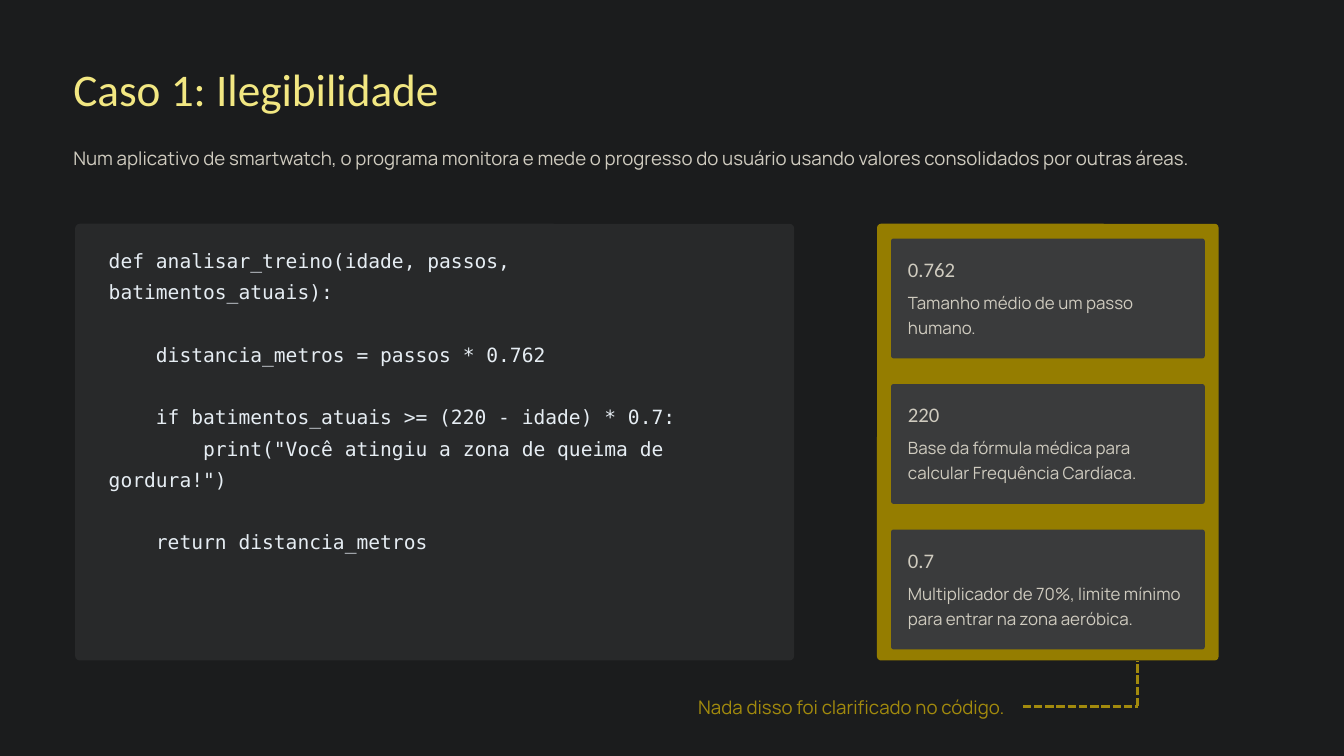
from lxml.etree import SubElement
from pptx import Presentation
from pptx.dml.color import RGBColor
from pptx.enum.dml import MSO_LINE
from pptx.enum.shapes import MSO_CONNECTOR, MSO_SHAPE
from pptx.oxml.ns import qn
from pptx.util import Cm, Pt

TITLE = "Caso 1: Ilegibilidade"
INTRO = (
    "Num aplicativo de smartwatch, o programa monitora e mede o progresso "
    "do usuário usando valores consolidados por outras áreas."
)
CODE_BLOCKS = [
    ["def analisar_treino(idade, passos, batimentos_atuais):"],
    ["    distancia_metros = passos * 0.762"],
    [
        "    if batimentos_atuais >= (220 - idade) * 0.7:",
        '        print("Você atingiu a zona de queima de gordura!")',
    ],
    ["    return distancia_metros"],
]
CARDS = [
    ("0.762", "Tamanho médio de um passo humano."),
    ("220", "Base da fórmula médica para calcular Frequência Cardíaca."),
    ("0.7", "Multiplicador de 70%, limite mínimo para entrar na zona aeróbica."),
]
REMARK = "Nada disso foi clarificado no código."

BACKGROUND = "1B1C1D"
CODE_PANEL = "28292A"
FRAME = "957D00"
CARD = "3A3B3C"
YELLOW = "F2E782"
SAND = "CFCBBF"
CODE_TEXT = "E6EDF3"
GOLD = "A28A0D"

HEADING_FONT = "Calibri"
BODY_FONT = "Manrope"
CODE_FONT = "DejaVu Sans Mono"
CODE_LINE = 33.5

CARD_LEFT, CARD_TOP, CARD_WIDTH, CARD_HEIGHT = 33.68, 9.02, 11.86, 4.53
CARD_STEP = 5.5
CARD_PADDING = 0.64
CORNER_X, CORNER_Y = 43, 26.7


def color(value):
    return RGBColor.from_string(value)


def add_panel(page, left, top, width, height, radius, fill):
    panel = page.shapes.add_shape(
        MSO_SHAPE.ROUNDED_RECTANGLE, Cm(left), Cm(top), Cm(width), Cm(height)
    )
    panel.adjustments[0] = radius / min(width, height)
    panel.shadow.inherit = False
    panel.fill.solid()
    panel.fill.fore_color.rgb = color(fill)
    panel.line.fill.background()


def style_paragraph(paragraph, font, size, line, fill):
    paragraph.line_spacing = Pt(line)
    paragraph.font.name = font
    paragraph.font.size = Pt(size)
    paragraph.font.color.rgb = color(fill)


def add_frame(page, left, top, width, height):
    box = page.shapes.add_textbox(Cm(left), Cm(top), Cm(width), Cm(height))
    frame = box.text_frame
    frame.word_wrap = True
    frame.margin_left = frame.margin_right = 0
    frame.margin_top = frame.margin_bottom = 0
    return frame


def add_text(page, text, area, font, size, line, fill):
    paragraph = add_frame(page, *area).paragraphs[0]
    paragraph.text = text
    style_paragraph(paragraph, font, size, line, fill)


def add_code(page, blocks, area):
    frame = add_frame(page, *area)
    for block_index, block in enumerate(blocks):
        for line_index, text in enumerate(block):
            first = block_index == 0 and line_index == 0
            paragraph = frame.paragraphs[0] if first else frame.add_paragraph()
            paragraph.text = text
            if line_index == 0 and not first:
                paragraph.space_before = Pt(CODE_LINE)
            style_paragraph(paragraph, CODE_FONT, 21, CODE_LINE, CODE_TEXT)


def add_dashes(page, start, end):
    connector = page.shapes.add_connector(
        MSO_CONNECTOR.STRAIGHT, Cm(start[0]), Cm(start[1]), Cm(end[0]), Cm(end[1])
    )
    connector.line.color.rgb = color(GOLD)
    connector.line.width = Pt(3)
    connector.line.dash_style = MSO_LINE.SQUARE_DOT
    SubElement(connector._element.spPr, qn("a:effectLst"))


def main():
    deck = Presentation()
    deck.slide_width, deck.slide_height = Cm(50.8), Cm(28.58)
    page = deck.slides.add_slide(deck.slide_layouts[6])
    page.background.fill.solid()
    page.background.fill.fore_color.rgb = color(BACKGROUND)

    add_text(page, TITLE, (2.77, 2.24, 16.15, 2.08), HEADING_FONT, 48.5, 60.6, YELLOW)
    add_text(page, INTRO, (2.77, 5.28, 45.67, 1.07), BODY_FONT, 20, 31.2, SAND)

    add_panel(page, 2.84, 8.46, 27.18, 16.51, 0.18, CODE_PANEL)
    add_code(page, CODE_BLOCKS, (4.11, 9.12, 22.28, 10.52))

    add_panel(page, 33.15, 8.46, 12.91, 16.51, 0.15, FRAME)
    text_left = CARD_LEFT + CARD_PADDING
    text_width = CARD_WIDTH - 2 * CARD_PADDING
    for index, (value, meaning) in enumerate(CARDS):
        top = CARD_TOP + index * CARD_STEP
        add_panel(page, CARD_LEFT, top, CARD_WIDTH, CARD_HEIGHT, 0.1, CARD)
        value_area = (text_left, top + 0.65, text_width, 0.91)
        meaning_area = (text_left, top + 1.84, text_width, 1.85)
        add_text(page, value, value_area, HEADING_FONT, 22.2, 27.7, SAND)
        add_text(page, meaning, meaning_area, BODY_FONT, 18.1, 27.1, SAND)

    add_dashes(page, (CORNER_X, CORNER_Y), (CORNER_X, 24.97))
    add_dashes(page, (38.66, CORNER_Y), (CORNER_X, CORNER_Y))
    add_text(page, REMARK, (26.39, 26.04, 11.84, 1.07), BODY_FONT, 20, 31.2, GOLD)

    deck.save("out.pptx")


if __name__ == "__main__":
    main()
